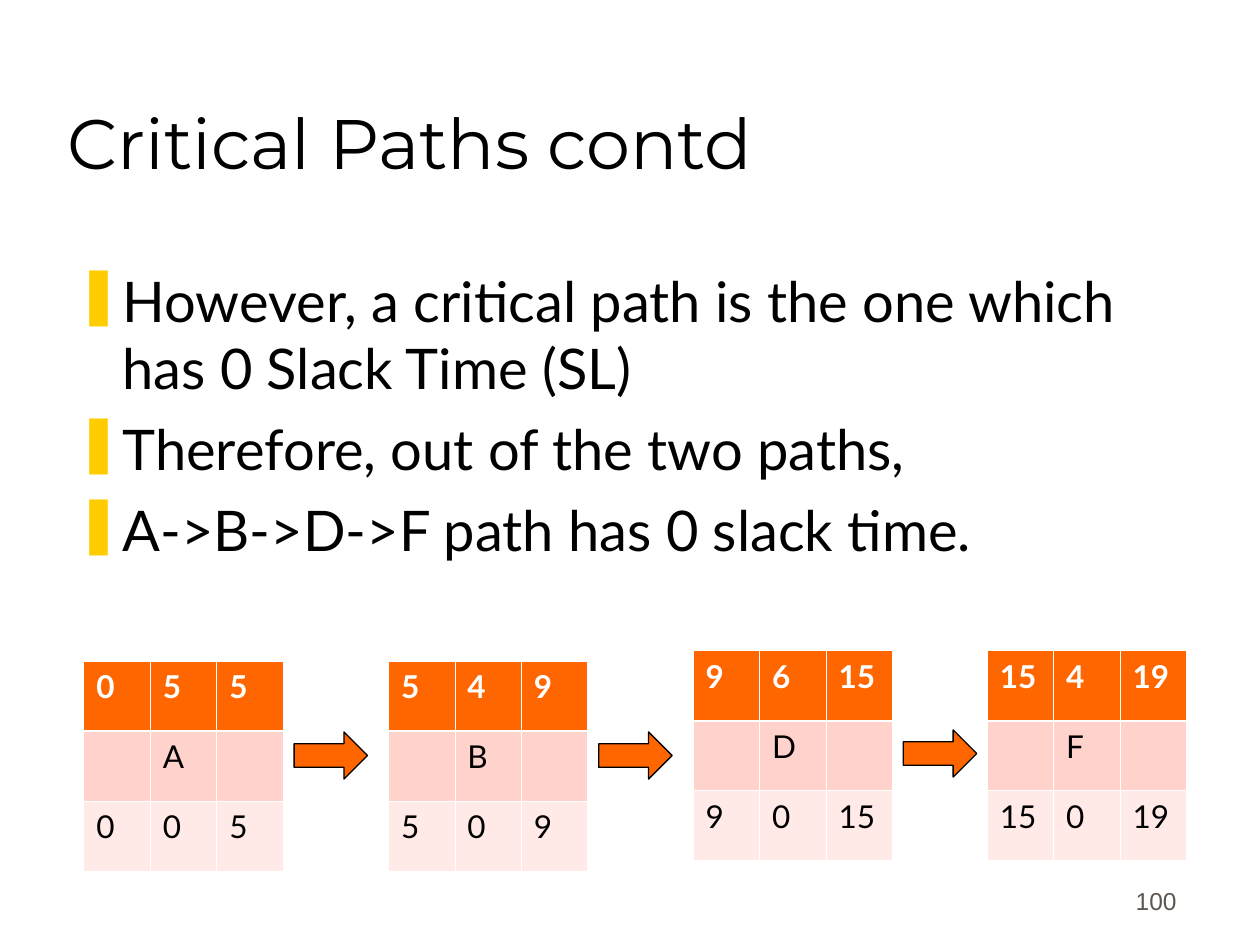
from dataclasses import dataclass

from lxml import etree
from pptx import Presentation
from pptx import util as u
from pptx.dml.color import RGBColor
from pptx.enum import shapes, text
from pptx.oxml import ns


@dataclass(frozen=True)
class Theme:
    """Colours, fonts and type sizes of the deck."""
    ink: str = "000000"
    paper: str = "FFFFFF"
    accent: str = "FF6600"
    bullet: str = "FFCC00"
    muted: str = "5E574E"
    rows: tuple = ("FF6600", "FFD3CB", "FFEAE7")
    heading_font: str = "Montserrat"
    body_font: str = "Lato"
    number_font: str = "Arial"
    heading_size: int = 40
    body_size: int = 32
    cell_size: int = 18
    number_size: int = 14
    thin: float = 0.45
    thick: float = 1.47


THEME = Theme()
COLUMN, ROW = 1.34, 1.41
ARROW_GAP, ARROW_LENGTH, ARROW_BREADTH = 0.22, 1.48, 0.95

STATEMENTS = [
    "However, a critical path is the one which has 0 Slack Time (SL)",
    "Therefore, out of the two paths,",
    "A->B->D->F path has 0 slack time.",
]
ACTIVITIES = [
    (1.69, 13.33, [("0", "5", "5"), ("", "A", ""), ("0", "0", "5")]),
    (7.83, 13.33, [("5", "4", "9"), ("", "B", ""), ("5", "0", "9")]),
    (13.97, 13.12, [("9", "6", "15"), ("", "D", ""), ("9", "0", "15")]),
    (19.9, 13.12, [("15", "4", "19"), ("", "F", ""), ("15", "0", "19")]),
]
ARROW_CENTRES = [15.23, 15.23, 15.19]


def apply(target, values):
    """Set each named attribute of the target."""
    for name, value in values.items():
        setattr(target, name, value)


def write(paragraph, wording, font, size, colour, bold=False):
    """Add one formatted run to a paragraph."""
    run = paragraph.add_run()
    run.text = wording
    apply(run.font, {"name": font, "size": u.Pt(size), "bold": bold})
    run.font.color.rgb = RGBColor.from_string(colour)


def add_frame(slide, box, anchor):
    """Add a wrapping text box and return its text frame."""
    frame = slide.shapes.add_textbox(*map(u.Cm, box)).text_frame
    apply(frame, {"word_wrap": True, "vertical_anchor": anchor})
    return frame


def add_colour(parent, tag, colour):
    """Append an element that holds one RGB colour."""
    holder = etree.SubElement(parent, ns.qn(tag))
    etree.SubElement(holder, ns.qn("a:srgbClr"), val=colour)


def add_title(slide, box):
    """Place the slide heading."""
    heading = add_frame(slide, box, text.MSO_ANCHOR.BOTTOM).paragraphs[0]
    write(heading, "Critical Paths contd", THEME.heading_font,
          THEME.heading_size, THEME.ink)


def add_statements(slide, box):
    """Place the bulleted statements."""
    frame = add_frame(slide, box, text.MSO_ANCHOR.TOP)
    for index, statement in enumerate(STATEMENTS):
        paragraph = frame.add_paragraph() if index else frame.paragraphs[0]
        if index:
            paragraph.space_before = u.Pt(8)
        properties = paragraph._p.get_or_add_pPr()
        indent = u.Cm(0.95)
        properties.set("marL", str(indent))
        properties.set("indent", str(-indent))
        add_colour(properties, "a:buClr", THEME.bullet)
        etree.SubElement(properties, ns.qn("a:buChar"), char="❚")
        write(paragraph, statement, THEME.body_font, THEME.body_size, THEME.ink)


def add_page_number(slide, box):
    """Place the page number at the right of its box."""
    number = add_frame(slide, box, text.MSO_ANCHOR.BOTTOM).paragraphs[0]
    number.alignment = text.PP_ALIGN.RIGHT
    write(number, "100", THEME.number_font, THEME.number_size, THEME.muted)


def add_borders(cell, row):
    """Draw white cell borders, heavier below the header row."""
    widths = {
        "a:lnL": THEME.thin,
        "a:lnR": THEME.thin,
        "a:lnT": THEME.thick if row == 1 else THEME.thin,
        "a:lnB": THEME.thick if row == 0 else THEME.thin,
    }
    properties = cell._tc.get_or_add_tcPr()
    for tag, width in widths.items():
        border = etree.SubElement(properties, ns.qn(tag), w=str(u.Pt(width)))
        add_colour(border, "a:solidFill", THEME.paper)


def add_activity(slide, left, top, values):
    """Place one activity as a three by three table."""
    box = (left, top, 3 * COLUMN, 3 * ROW)
    table = slide.shapes.add_table(3, 3, *map(u.Cm, box)).table
    apply(table, {"first_row": False, "horz_banding": False})
    for row, entries in enumerate(values):
        header = row == 0
        for column, entry in enumerate(entries):
            cell = table.cell(row, column)
            add_borders(cell, row)
            cell.fill.solid()
            cell.fill.fore_color.rgb = RGBColor.from_string(THEME.rows[row])
            if entry:
                write(cell.text_frame.paragraphs[0], entry, THEME.body_font,
                      THEME.cell_size, THEME.paper if header else THEME.ink,
                      header)


def add_arrow(slide, left, centre):
    """Place an arrow pointing right, centred on the given height."""
    box = (left + (ARROW_LENGTH - ARROW_BREADTH) / 2,
           centre - ARROW_LENGTH / 2, ARROW_BREADTH, ARROW_LENGTH)
    arrow = slide.shapes.add_shape(shapes.MSO_SHAPE.DOWN_ARROW, *map(u.Cm, box))
    arrow.rotation = 270
    arrow.shadow.inherit = False
    arrow.fill.solid()
    arrow.fill.fore_color.rgb = RGBColor.from_string(THEME.accent)
    arrow.line.color.rgb = RGBColor.from_string(THEME.ink)
    arrow.line.width = u.Pt(0.75)


def add_path(slide):
    """Place the chain of activities and the arrows between them."""
    for activity in ACTIVITIES:
        add_activity(slide, *activity)
    for (left, _, _), centre in zip(ACTIVITIES, ARROW_CENTRES):
        add_arrow(slide, left + 3 * COLUMN + ARROW_GAP, centre)


def main():
    """Build the slide and save it."""
    deck = Presentation()
    apply(deck, {"slide_width": u.Cm(25.4), "slide_height": u.Cm(19.05)})
    slide = deck.slides.add_slide(deck.slide_layouts[6])
    add_title(slide, (1.11, 0.64, 21.59, 3.18))
    add_statements(slide, (1.27, 5.24, 22.7, 11.59))
    add_page_number(slide, (18.69, 17.3, 5.28, 1.27))
    add_path(slide)
    deck.save("out.pptx")


if __name__ == "__main__":
    main()
